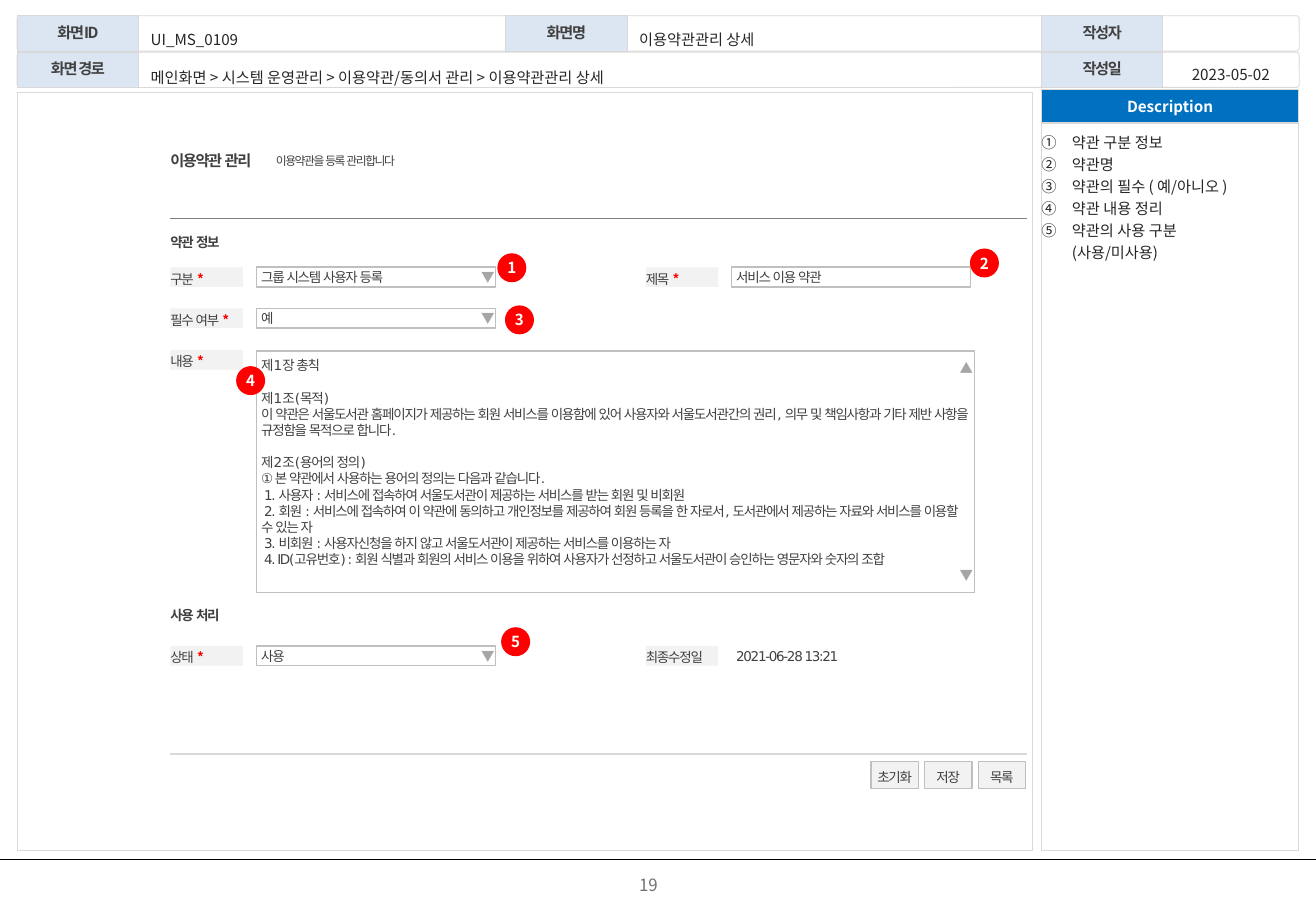
from lxml import etree
from pptx import Presentation
from pptx.dml.color import RGBColor
from pptx.enum.shapes import MSO_CONNECTOR, MSO_SHAPE
from pptx.enum.text import MSO_ANCHOR, PP_ALIGN
from pptx.oxml.ns import qn
from pptx.util import Cm, Pt

RECT, ROUND, OVAL = MSO_SHAPE.RECTANGLE, MSO_SHAPE.ROUNDED_RECTANGLE, MSO_SHAPE.OVAL
STRAIGHT = MSO_CONNECTOR.STRAIGHT
TOP, MIDDLE = MSO_ANCHOR.TOP, MSO_ANCHOR.MIDDLE
LEFT, CENTER, JUSTIFY = PP_ALIGN.LEFT, PP_ALIGN.CENTER, PP_ALIGN.JUSTIFY
SANS, KOREAN = "DejaVu Sans", "Noto Sans CJK KR"
GRAY, INK, RULE, BORDER = "404040", "262626", "D9D9D9", "BFBFBF"
FIELD_INSETS = (0.1, 0.13, 0.1, 0.13)

TERMS = [
    "제1장 총칙",
    "제1조(목적)",
    "이 약관은 서울도서관 홈페이지가 제공하는 회원 서비스를 이용함에 있어 사용자와 서울도서관간의 권리, 의무 및 책임사항과 기타 제반 사항을 규정함을 목적으로 합니다.",
    "제2조(용어의 정의)",
    "① 본 약관에서 사용하는 용어의 정의는 다음과 같습니다.",
    " 1. 사용자 : 서비스에 접속하여 서울도서관이 제공하는 서비스를 받는 회원 및 비회원",
    " 2. 회원 : 서비스에 접속하여 이 약관에 동의하고 개인정보를 제공하여 회원 등록을 한 자로서, 도서관에서 제공하는 자료와 서비스를 이용할 수 있는 자",
    " 3. 비회원 : 사용자신청을 하지 않고 서울도서관이 제공하는 서비스를 이용하는 자",
    " 4. ID(고유번호) : 회원 식별과 회원의 서비스 이용을 위하여 사용자가 선정하고 서울도서관이 승인하는 영문자와 숫자의 조합",
]
NOTES = ["약관 구분 정보", "약관명", "약관의 필수 ( 예/아니오 )", "약관 내용 정리",
         "약관의 사용 구분\n(사용/미사용)"]


def color(value):
    """Turn a hex string into a colour."""
    return RGBColor.from_string(value)


def set_font(font, name, size, ink, bold=False, tracking=0):
    """Set every property of a paragraph or span font."""
    font.name, font.size, font.bold = name, Pt(size), bold
    font.color.rgb = color(ink)
    element = font._element
    element.set("spc", str(round(tracking * 100)))
    etree.SubElement(element, qn("a:ea")).set("typeface", name)


def add_shape(page, kind, box, fill=None, line=None, weight=0.5):
    """Add a flat preset shape."""
    shape = page.shapes.add_shape(kind, *map(Cm, box))
    shape.shadow.inherit = False
    if fill:
        shape.fill.solid()
        shape.fill.fore_color.rgb = color(fill)
    else:
        shape.fill.background()
    if line:
        shape.line.color.rgb = color(line)
        shape.line.width = Pt(weight)
    else:
        shape.line.fill.background()
    return shape


def add_line(page, left, top, width, ink, weight):
    """Add a horizontal rule."""
    line = page.shapes.add_connector(STRAIGHT, Cm(left), Cm(top), Cm(left + width), Cm(top))
    line.line.color.rgb = color(ink)
    line.line.width = Pt(weight)
    etree.SubElement(line._element.spPr, qn("a:effectLst"))


def write(shape, texts, name=SANS, size=8, ink=GRAY, bold=False, tracking=0,
          align=LEFT, anchor=MIDDLE, spacing=None, insets=(0, 0, 0, 0), wrap=False,
          numbered=False):
    """Fill a shape with evenly styled paragraphs and return them."""
    frame = shape.text_frame
    frame.word_wrap, frame.vertical_anchor = wrap, anchor
    (frame.margin_left, frame.margin_top,
     frame.margin_right, frame.margin_bottom) = map(Cm, insets)
    paras = []
    for index, text in enumerate(texts):
        para = frame.add_paragraph() if index else frame.paragraphs[0]
        para.text, para.alignment = text, align
        if spacing:
            para.line_spacing = spacing
        if numbered:
            properties = para._p.get_or_add_pPr()
            properties.set("marL", str(Cm(0.64)))
            properties.set("indent", str(-Cm(0.64)))
            bullet = etree.SubElement(properties, qn("a:buAutoNum"))
            bullet.set("type", "circleNumDbPlain")
        set_font(para.font, name, size, ink, bold, tracking)
        paras.append(para)
    return paras


def add_text(page, box, texts, **style):
    """Add a text box."""
    return write(page.shapes.add_textbox(*map(Cm, box)), texts, **style)


def add_label(page, left, top, text, required=True):
    """Add a shaded form label, starred when the field is required."""
    shape = add_shape(page, RECT, (left, top, 1.52, 0.41), "F2F2F2")
    para = write(shape, [text], tracking=-0.8, spacing=1.2)[0]
    if required:
        span = para.add_run()
        span.text = " *"
        set_font(span.font, KOREAN, 8, "FF0000", True)


def add_field(page, left, top, text, line=BORDER, dropdown=False):
    """Add a form field with an optional dropdown arrow."""
    shape = add_shape(page, RECT, (left, top, 5, 0.41), None, line, 1)
    write(shape, [text], tracking=-0.8, insets=FIELD_INSETS, wrap=True)
    if dropdown:
        add_arrows(page, (left + 4.6, top, 0.38, 0.41), ["▼"])


def add_arrows(page, box, symbols):
    """Add gray arrow symbols and return their paragraphs."""
    return add_text(page, box, symbols, name=KOREAN, ink="A6A6A6", bold=True, tracking=-0.8,
                    align=CENTER, insets=FIELD_INSETS, wrap=True)


def draw_header(page, box):
    """Draw the two rows of screen details."""
    left, top, width, height = box
    row_height, step = 0.74, height - 0.74
    for row in range(2):
        frame = add_shape(page, ROUND, (left, top + row * step, width, row_height), None, RULE)
        frame.adjustments[0] = 0.08
    for text, offset, row in [("화면ID", 0, 0), ("화면명", 10.21, 0), ("작성자", 21.41, 0),
                              ("화면 경로", 0, 1), ("작성일", 21.41, 1)]:
        label = add_shape(page, RECT, (left + offset, top + row * step, 2.54, row_height),
                          "DCE6F2", RULE)
        write(label, [text], KOREAN, 9, bold=True, tracking=-0.8, align=CENTER,
              spacing=0.9, wrap=True)
    for text, offset, row, span_width in [
            ("UI_MS_0109", 2.59, 0, 7.6), ("이용약관관리 상세", 12.8, 0, 8.6),
            ("메인화면 > 시스템 운영관리 > 이용약관/동의서 관리 > 이용약관관리 상세", 2.59, 1, 18.8)]:
        add_text(page, (left + offset, top + row * (step + 0.03), span_width, 0.79), [text],
                 name=KOREAN, size=9, ink=INK, align=JUSTIFY, spacing=1.5,
                 insets=(0.2, 0, 0, 0), wrap=True)
    add_text(page, (left + 24, top + step + 0.03, 2.74, 0.69), ["2023-05-02"], name=KOREAN,
             size=9, ink=INK, align=CENTER, spacing=1.5, wrap=True)


def draw_form(page, box):
    """Draw the terms management screen."""
    left, top = box[:2]
    add_shape(page, RECT, box, None, RULE)
    label_x, field_x, right_label_x, right_field_x = (
        left + offset for offset in (3.2, 5, 13.14, 14.93))
    for text, x, y, width, size, bold in [
            ("이용약관 관리", label_x, 1.19, 2, 9, True),
            ("이용약관을 등록 관리합니다", left + 5.41, 1.19, 4.8, 7, False),
            ("약관 정보", label_x, 2.9, 1.52, 8, True),
            ("사용 처리", label_x, 10.69, 1.52, 8, True)]:
        add_text(page, (x, top + y, width, 0.41), [text], size=size, bold=bold,
                 tracking=-0.8, spacing=1.2)
    add_line(page, label_x, top + 2.64, 17.9, "808080", 1)
    add_line(page, label_x, top + 13.84, 17.9, RULE, 1)

    for label, value, y in [("구분", "그룹 시스템 사용자 등록", 3.66), ("필수 여부", "예", 4.52),
                            ("상태", "사용", 11.58)]:
        add_label(page, label_x, top + y, label)
        add_field(page, field_x, top + y, value, dropdown=True)
    add_label(page, right_label_x, top + 3.66, "제목")
    add_field(page, right_field_x, top + 3.66, "서비스 이용 약관")
    add_label(page, right_label_x, top + 11.58, "최종수정일", required=False)
    add_field(page, right_field_x, top + 11.58, "2021-06-28 13:21", line=None)

    add_label(page, label_x, top + 5.39, "내용")
    content = add_shape(page, RECT, (field_x, top + 5.41, 15.01, 5.05), None, BORDER, 1)
    paras = write(content, TERMS, tracking=-0.8, anchor=TOP, insets=FIELD_INSETS, wrap=True)
    for article in (paras[1], paras[3]):
        article.space_before = Pt(9.6)
    arrows = add_arrows(page, (left + 19.6, top + 5.59, 0.38, 4.7), ["▲", "▼"])
    arrows[1].space_before = Pt(113)

    for index, text in enumerate(["초기화", "저장", "목록"]):
        button = add_shape(page, RECT, (left + 17.85 + index * 1.12, top + 14, 0.99, 0.56),
                           "F2F2F2", BORDER, 0.75)
        write(button, [text], tracking=-0.8, align=CENTER, spacing=1.2)
    badges = [(10.05, 3.38), (19.93, 3.28), (10.21, 4.47), (4.59, 5.74), (10.13, 11.2)]
    for number, (x, y) in enumerate(badges, 1):
        badge = add_shape(page, OVAL, (left + x, top + y, 0.58, 0.58), "FF0000", "FF0000", 0.75)
        write(badge, [str(number)], KOREAN, 9, "FFFFFF", True, align=CENTER)


def draw_description(page, box):
    """Draw the numbered notes under their title bar."""
    left, top, width, height = box
    add_shape(page, RECT, (left, top + 0.7, width, height - 0.7), None, RULE)
    title = add_shape(page, RECT, (left, top, width, 0.69), "0070C0", RULE)
    write(title, ["Description"], KOREAN, 9, "FFFFFF", True, align=CENTER)
    add_text(page, (left, top + 0.84, width, 12.34), NOTES, name=KOREAN, size=9, ink=INK,
             anchor=TOP, spacing=1.2, wrap=True, numbered=True)


def draw_footer(page, box):
    """Draw the bottom rule and the page number."""
    left, top, width, _ = box
    add_line(page, left, top, width, "000000", 0.5)
    add_text(page, (left + 10.34, top + 0.18, 6.43, 0.79), ["19"], name=KOREAN, size=10,
             ink="717171", align=CENTER, anchor=TOP, insets=(0.25, 0.13, 0.25, 0.13), wrap=True)


def main():
    """Build the deck and save it."""
    deck = Presentation()
    deck.slide_width, deck.slide_height = Cm(27.51), Cm(19.05)
    page = deck.slides.add_slide(deck.slide_layouts[6])
    draw_footer(page, (0, 17.98, 27.51, 1.07))
    draw_header(page, (0.36, 0.33, 26.8, 1.5))
    draw_form(page, (0.36, 1.93, 21.23, 15.85))
    draw_description(page, (21.77, 1.88, 5.38, 15.91))
    deck.save("out.pptx")


if __name__ == "__main__":
    main()
